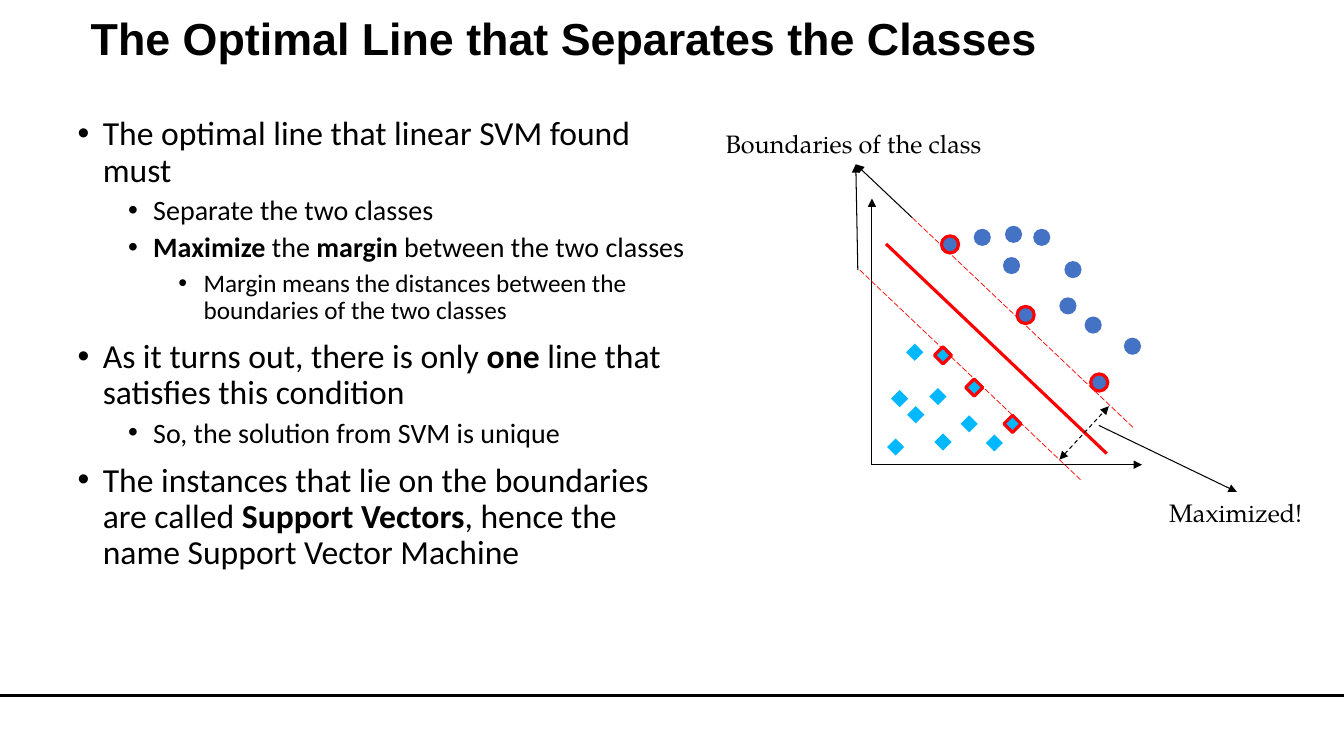
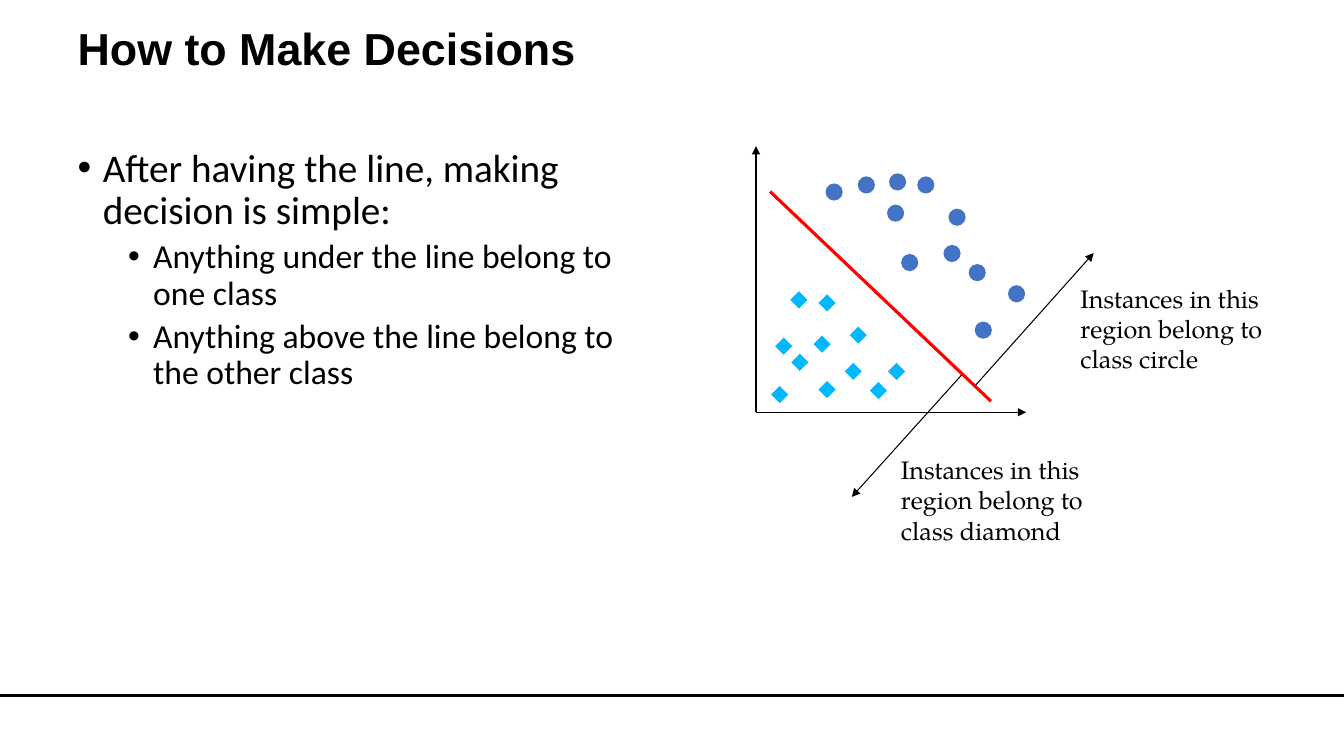
from dataclasses import dataclass
from typing import NamedTuple, Optional

from lxml.etree import SubElement
from pptx import Presentation
from pptx.dml.color import RGBColor
from pptx.enum.dml import MSO_LINE as Dash
from pptx.enum.shapes import MSO_CONNECTOR, MSO_SHAPE as Preset
from pptx.enum.text import MSO_ANCHOR, MSO_AUTO_SIZE as AutoSize, PP_ALIGN
from pptx.oxml.ns import qn
from pptx.util import Emu, Inches, Pt

BLACK = RGBColor(0x00, 0x00, 0x00)
RED = RGBColor(0xFF, 0x00, 0x00)
BLUE = RGBColor(0x44, 0x72, 0xC4)
CYAN = RGBColor(0x00, 0xB8, 0xFF)

TITLE_FONT, BODY_FONT, LABEL_FONT = "Arial", "Calibri", "TeX Gyre Pagella"

# The slide is a grid of square cells, ten to the inch.
CELL = Inches(0.1)
COLUMNS, ROWS = 133.33, 75
RULE_ROW = 69
MARKER = 1.7
AXIS_X, AXIS_Y = 26.8, 26.4
MARGIN = 2.6


class Point(NamedTuple):
    x: float
    y: float


class Box(NamedTuple):
    left: float
    top: float
    width: float
    height: float


class Run(NamedTuple):
    text: str
    bold: bool = False


class Bullet(NamedTuple):
    level: int
    size: int
    runs: tuple[Run, ...]


class Instance(NamedTuple):
    """Marker placed right of and above the plot origin."""
    x: float
    y: float
    support: bool = False


class Label(NamedTuple):
    text: str
    box: Box
    wrap: bool = False


@dataclass(frozen=True)
class Line:
    start: Point
    end: Point
    color: RGBColor = BLACK
    weight: float = 0.75
    dash: Optional[Dash] = None
    head: bool = False
    tail: bool = False


@dataclass(frozen=True)
class Page:
    title: str
    title_box: Box
    body_box: Box
    bullets: tuple[Bullet, ...]
    origin: Point
    show_margin: bool
    arrows: tuple[Line, ...]
    labels: tuple[Label, ...]


DIAMONDS = (
    Instance(1.9, 7.4), Instance(3.5, 5.8), Instance(5.7, 7.6),
    Instance(8.8, 4.9), Instance(9.3, 8.5, True), Instance(3.4, 12),
    Instance(1.5, 2.6), Instance(6.2, 3.1), Instance(13.1, 4.9, True),
    Instance(6.2, 11.7, True), Instance(11.3, 3),
)
CIRCLES = (
    Instance(10.1, 23.4), Instance(14.4, 15.7, True), Instance(13, 20.6),
    Instance(18.6, 16.6), Instance(19.1, 20.2), Instance(13.2, 23.7),
    Instance(21.7, 9, True), Instance(6.9, 22.7, True),
    Instance(25, 12.6), Instance(16, 23.4), Instance(21.1, 14.7),
)
SEPARATOR_START, SEPARATOR_END = Point(1.4, 21.9), Point(23.3, 1.1)
BOUNDARY_TIP = Point(84.9, 16.3)

PAGES = (
    Page(
        title="The Optimal Line that Separates the Classes",
        title_box=Box(8, 1.2, 115, 7.3),
        body_box=Box(6.7, 11.1, 62.2, 49.4),
        bullets=(
            Bullet(0, 24, (Run("The optimal line that linear SVM found must"),)),
            Bullet(1, 20, (Run("Separate the two classes"),)),
            Bullet(1, 20, (Run("Maximize", True), Run(" the "),
                           Run("margin", True),
                           Run(" between the two classes"))),
            Bullet(2, 18, (Run("Margin means the distances between the "
                               "boundaries of the two classes"),)),
            Bullet(0, 24, (Run("As it turns out, there is only "),
                           Run("one ", True),
                           Run("line that satisfies this condition"))),
            Bullet(1, 20, (Run("So, the solution from SVM is unique"),)),
            Bullet(0, 24, (Run("The instances that lie on the boundaries "
                               "are called "),
                           Run("Support Vectors", True),
                           Run(", hence the name Support Vector Machine"))),
        ),
        origin=Point(86.5, 46.1),
        show_margin=True,
        arrows=(
            Line(Point(105.1, 45.6), Point(110, 40.3), dash=Dash.DASH,
                 head=True, tail=True),
            Line(Point(109, 42.2), Point(122.7, 48.8), tail=True),
            Line(Point(90.5, 21.6), BOUNDARY_TIP, tail=True),
            Line(Point(85.1, 26.8), BOUNDARY_TIP, tail=True),
        ),
        labels=(
            Label("Maximized!", Box(115, 48.8, 15.4, 4)),
            Label("Boundaries of the class", Box(71, 12.2, 27.6, 4)),
        ),
    ),
    Page(
        title="How to Make Decisions",
        title_box=Box(6.7, 2.2, 119.9, 10),
        body_box=Box(6.7, 14.2, 55.4, 49.4),
        bullets=(
            Bullet(0, 28, (Run("After having the line, making decision "
                               "is simple:"),)),
            Bullet(1, 24, (Run("Anything under the line belong to "
                               "one class"),)),
            Bullet(1, 24, (Run("Anything above the line belong to "
                               "the other class"),)),
        ),
        origin=Point(75, 40.9),
        show_margin=False,
        arrows=(
            Line(Point(96.8, 38.2), Point(108.5, 25.1), tail=True),
            Line(Point(95.4, 37.2), Point(84.5, 49.3), tail=True),
        ),
        labels=(
            Label("Instances in this region belong to class diamond",
                  Box(88.4, 44.6, 20.4, 10.1), wrap=True),
            Label("Instances in this region belong to class circle",
                  Box(106.2, 27.6, 20.4, 10.1), wrap=True),
        ),
    ),
)


def cells(count: float) -> Emu:
    return Emu(round(count * CELL))


def add_run(paragraph, run: Run, font: str, size: int) -> None:
    piece = paragraph.add_run()
    piece.text = run.text
    piece.font.name, piece.font.size = font, Pt(size)
    piece.font.bold = run.bold
    piece.font.color.rgb = BLACK


def move(placeholder, box: Box):
    """Put a placeholder on the grid and return its text frame."""
    placeholder.left, placeholder.top = cells(box.left), cells(box.top)
    placeholder.width, placeholder.height = cells(box.width), cells(box.height)
    frame = placeholder.text_frame
    frame.auto_size = AutoSize.NONE
    frame.vertical_anchor = MSO_ANCHOR.TOP
    return frame


def fill_title(slide, page: Page) -> None:
    heading = move(slide.shapes.title, page.title_box).paragraphs[0]
    heading.alignment = PP_ALIGN.LEFT
    heading.line_spacing = 0.9
    add_run(heading, Run(page.title, True), TITLE_FONT, 32)


def fill_body(slide, page: Page) -> None:
    frame = move(slide.placeholders[1], page.body_box)
    for index, bullet in enumerate(page.bullets):
        paragraph = frame.add_paragraph() if index else frame.paragraphs[0]
        paragraph.level = bullet.level
        paragraph.line_spacing = 0.9
        paragraph.space_before = Pt(5 if bullet.level else 10)
        properties = paragraph._p.get_or_add_pPr()
        properties.set("marL", str(Inches(0.25 + 0.5 * bullet.level)))
        properties.set("indent", str(-Inches(0.25)))
        SubElement(properties, qn("a:buFont")).set("typeface", "Arial")
        SubElement(properties, qn("a:buChar")).set("char", "•")
        for run in bullet.runs:
            add_run(paragraph, run, BODY_FONT, bullet.size)


def draw_line(slide, line: Line):
    ends = [cells(n) for n in (*line.start, *line.end)]
    connector = slide.shapes.add_connector(MSO_CONNECTOR.STRAIGHT, *ends)
    connector.line.color.rgb = line.color
    connector.line.width = Pt(line.weight)
    if line.dash is not None:
        connector.line.dash_style = line.dash
    stroke = connector.line._get_or_add_ln()
    for tag, wanted in (("a:headEnd", line.head), ("a:tailEnd", line.tail)):
        if wanted:
            SubElement(stroke, qn(tag)).set("type", "triangle")
    SubElement(connector._element.spPr, qn("a:effectLst"))
    return connector


def draw_instances(slide, page: Page, instances: tuple[Instance, ...],
                   preset: Preset, color: RGBColor) -> None:
    for instance in instances:
        marker = slide.shapes.add_shape(
            preset, cells(page.origin.x + instance.x),
            cells(page.origin.y - instance.y), cells(MARKER), cells(MARKER))
        marker.shadow.inherit = False
        marker.fill.solid()
        marker.fill.fore_color.rgb = color
        if page.show_margin and instance.support:
            marker.line.color.rgb = RED
            marker.line.width = Pt(2.25)
        else:
            marker.line.fill.background()


def draw_plot(slide, page: Page) -> None:
    """Draw both classes, the axes, the separator and its margin."""
    origin = page.origin

    def separator(shift: float = 0, **style) -> Line:
        start, end = (Point(origin.x + p.x + shift, origin.y - p.y - shift)
                      for p in (SEPARATOR_START, SEPARATOR_END))
        return Line(start, end, RED, **style)

    draw_instances(slide, page, DIAMONDS, Preset.DIAMOND, CYAN)
    draw_instances(slide, page, CIRCLES, Preset.OVAL, BLUE)
    draw_line(slide, separator(weight=2.25))
    for tip in (Point(origin.x + AXIS_X, origin.y),
                Point(origin.x, origin.y - AXIS_Y)):
        draw_line(slide, Line(origin, tip, tail=True))
    if page.show_margin:
        for shift in (-MARGIN, MARGIN):
            draw_line(slide, separator(shift, weight=0.5, dash=Dash.LONG_DASH))


def add_label(slide, label: Label) -> None:
    frame = slide.shapes.add_textbox(*map(cells, label.box)).text_frame
    frame.word_wrap = label.wrap
    frame.auto_size = AutoSize.SHAPE_TO_FIT_TEXT
    add_run(frame.paragraphs[0], Run(label.text), LABEL_FONT, 18)


def move_rule_to_layout(slide, layout) -> None:
    """Share the bottom rule by keeping it on the layout."""
    rule = draw_line(slide, Line(Point(0, RULE_ROW), Point(COLUMNS, RULE_ROW),
                                 weight=2))
    layout.shapes.element.append(rule.element)


def main() -> None:
    deck = Presentation()
    deck.slide_width, deck.slide_height = cells(COLUMNS), cells(ROWS)
    layout = deck.slide_layouts.get_by_name("Title and Content")
    for index, page in enumerate(PAGES):
        slide = deck.slides.add_slide(layout)
        if index == 0:
            move_rule_to_layout(slide, layout)
        fill_title(slide, page)
        fill_body(slide, page)
        draw_plot(slide, page)
        for arrow in page.arrows:
            draw_line(slide, arrow)
        for label in page.labels:
            add_label(slide, label)
    deck.save("out.pptx")


if __name__ == "__main__":
    main()
